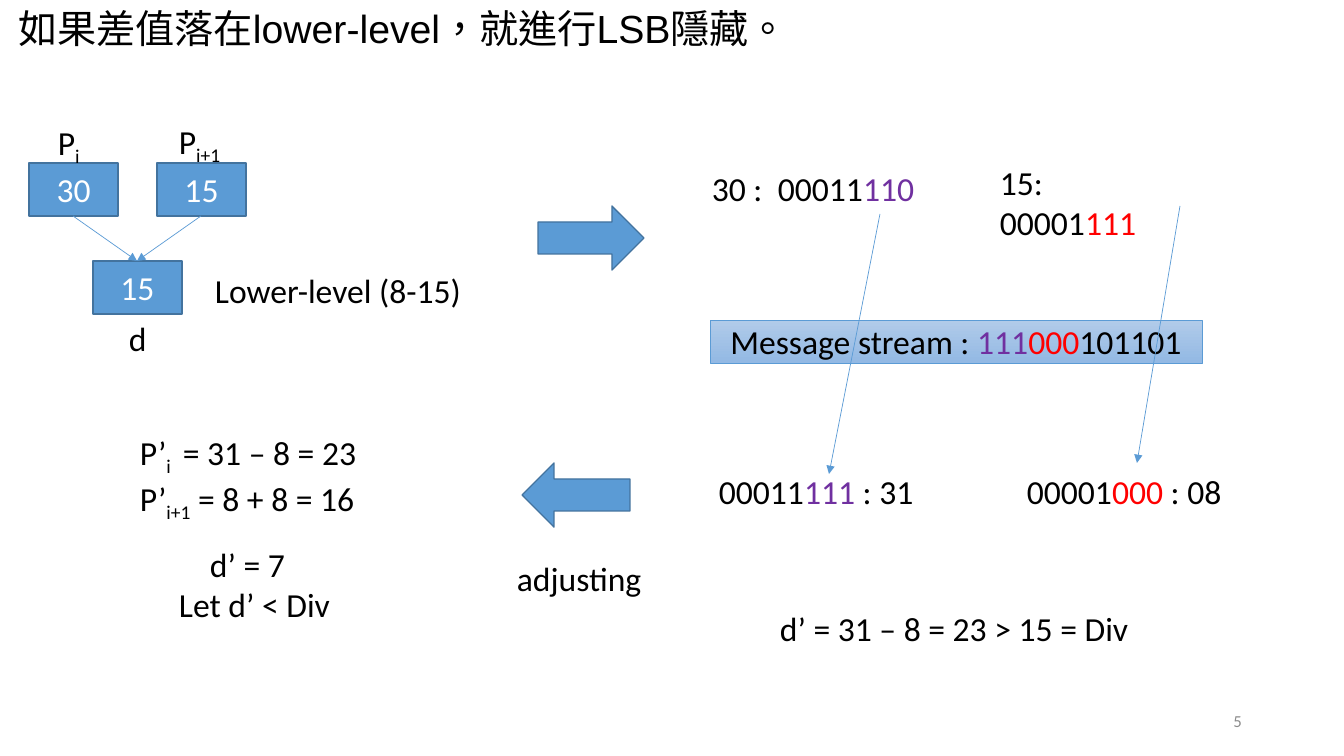
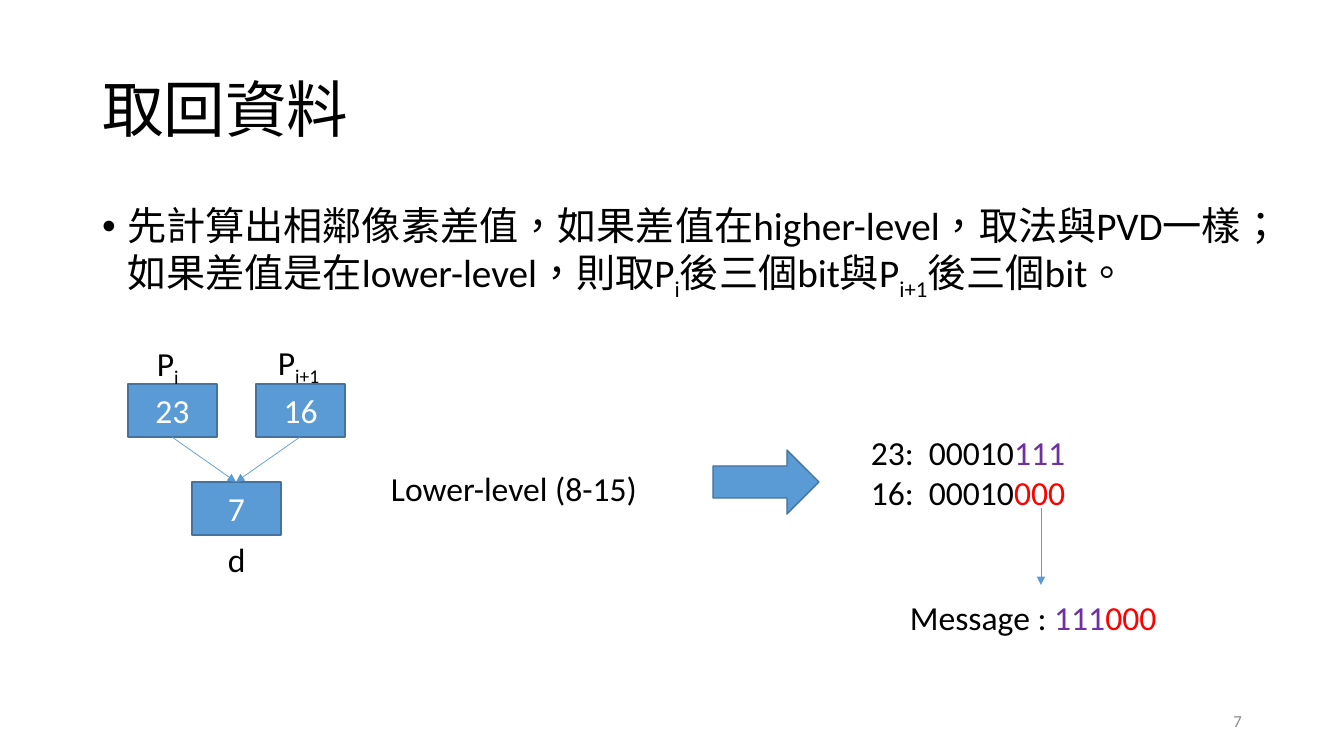
from lxml import etree
from pptx import Presentation
from pptx.dml.color import RGBColor
from pptx.enum.shapes import MSO_CONNECTOR, MSO_SHAPE
from pptx.enum.text import MSO_ANCHOR, MSO_AUTO_SIZE, PP_ALIGN
from pptx.oxml.ns import qn
from pptx.util import Pt

RECT, RIGHT, LEFT = MSO_SHAPE.RECTANGLE, MSO_SHAPE.RIGHT_ARROW, MSO_SHAPE.LEFT_ARROW
TOP, MID = MSO_ANCHOR.TOP, MSO_ANCHOR.MIDDLE
START, CENTER, END = PP_ALIGN.LEFT, PP_ALIGN.CENTER, PP_ALIGN.RIGHT
STRAIGHT, FIXED = MSO_CONNECTOR.STRAIGHT, MSO_AUTO_SIZE.NONE

SCALE = 914400 / 100.8
WIDE, HIGH = 1344, 756
BLUE, EDGE, BLACK, WHITE, GRAY = "5B9BD5", "43739E", "000000", "FFFFFF", "8C8C8C"
PURPLE, RED = "7030A0", "FF0000"
SUB = "sub"
BOX = (89, 53)

P_I = ["P", ("i", SUB)]
P_NEXT = ["P", ("i+1", SUB)]
LEVEL = "Lower-level (8-15)"

HIDE = {
    "title": "如果差值落在lower-level\uff0c就進行LSB隱藏。",
    "page": "5",
    "tree": (29, 163, ("30", "15", "15")),
    "notes": [
        ((205, 265, 291, 50), [[LEVEL]], {}),
        ((702, 163, 357, 50), [["30 :\t00011", ("110", PURPLE)]], {"tab": 66}),
        ((990, 157, 222, 92), [["15:"], ["00001", ("111", RED)]], {}),
        ((709, 466, 260, 50), [["00011", ("111", PURPLE), " : 31"]], {}),
        ((1017, 466, 260, 50), [["00001", ("000", RED), " : 08"]], {}),
        ((770, 603, 373, 50), [["d’ = 31 – 8 = 23 > 15 = Div"]], {}),
        ((507, 553, 146, 50), [["adjusting"]], {}),
        ((130, 427, 270, 92), [["P’", ("i ", SUB), " = 31 – 8 = 23"],
                               ["P’", ("i+1", SUB), " = 8 + 8 = 16"]], {}),
        ((169, 539, 176, 92), [["d’ = 7"], ["Let d’ < Div"]], {"first": 31}),
    ],
    "blocks": [(RIGHT, (538, 206, 106, 64)), (LEFT, (522, 463, 108, 64))],
    "stream": ((710, 320, 492, 43), ["Message stream : ", ("111", PURPLE),
                                     ("000", RED), "101101"]),
    "arrows": [(880, 214, 829, 474), (1180, 206, 1137, 463)],
}

FETCH = {
    "title": "取回資料",
    "body": ["先計算出相鄰像素差值\uff0c如果差值在higher-level\uff0c取法與PVD一樣\uff1b"
             "如果差值是在lower-level\uff0c則取P",
             ("i", SUB), "後三個bit與P", ("i+1", SUB), "後三個bit。"],
    "page": "7",
    "tree": (128, 384, ("23", "16", "7")),
    "notes": [
        ((381, 463, 291, 50), [[LEVEL]], {}),
        ((861, 427, 473, 92), [["23:\t00010", ("111", PURPLE)],
                               ["16:\t00010", ("000", RED)]], {"tab": 58}),
        ((900, 592, 281, 50), [["Message : ", ("111", PURPLE), ("000", RED)]], {}),
    ],
    "blocks": [(RIGHT, (713, 450, 106, 64))],
    "arrows": [(1041, 508, 1041, 585)],
}


def px(n):
    return round(n * SCALE)


def hue(code):
    return RGBColor.from_string(code)


def place(shape, area):
    shape.left, shape.top, shape.width, shape.height = map(px, area)


def write(shape, paras, size=24, color=BLACK, font="Calibri", align=START,
          anchor=TOP, line=None, before=None, tab=None, first=None, hang=None):
    frame = shape.text_frame
    frame.word_wrap = True
    frame.auto_size = FIXED
    frame.vertical_anchor = anchor
    for n, parts in enumerate(paras):
        para = frame.add_paragraph() if n else frame.paragraphs[0]
        para.alignment = align
        if line:
            para.line_spacing = line
        if before:
            para.space_before = Pt(before)
        props = para._p.get_or_add_pPr()
        if first and n == 0:
            props.set("marL", str(px(first)))
        if hang:
            props.set("marL", str(px(hang)))
            props.set("indent", str(-px(hang)))
        if tab:
            stops = etree.SubElement(props, qn("a:tabLst"))
            etree.SubElement(stops, qn("a:tab"), pos=str(px(tab)), algn="l")
        for part in parts:
            words, style = (part, color) if isinstance(part, str) else part
            run = para.add_run()
            run.text = words
            run.font.size = Pt(size)
            run.font.name = font
            run.font.color.rgb = hue(color if style == SUB else style)
            run.font._element.set("lang", "zh-TW")
            if style == SUB:
                run.font._element.set("baseline", "-25000")


def note(slide, area, paras, **form):
    write(slide.shapes.add_textbox(*map(px, area)), paras, **form)


def block(slide, kind, area, edge=EDGE, width=1):
    shape = slide.shapes.add_shape(kind, *map(px, area))
    shape.shadow.inherit = False
    shape.fill.solid()
    shape.fill.fore_color.rgb = hue(BLUE)
    shape.line.color.rgb = hue(edge)
    shape.line.width = Pt(width)
    return shape


def arrow(slide, ends):
    link = slide.shapes.add_connector(STRAIGHT, *map(px, ends))
    link.line.color.rgb = hue(BLUE)
    link.line.width = Pt(0.5)
    etree.SubElement(link.line._get_or_add_ln(), qn("a:tailEnd"), type="triangle")
    etree.SubElement(link._element.spPr, qn("a:effectLst"))


def tree(slide, x, y, values):
    wide, high = BOX
    spots = [(x, y), (x + 128, y), (x + 64, y + 98)]
    for (left, top), value in zip(spots, values):
        shape = block(slide, RECT, (left, top, wide, high))
        write(shape, [[value]], color=WHITE, align=CENTER, anchor=MID)
    goal = spots[2]
    for left, top in spots[:2]:
        arrow(slide, (left + wide // 2, top + high, goal[0] + wide // 2, goal[1]))
    note(slide, (x + 19, y - 46, 90, 50), [P_I])
    note(slide, (x + 140, y - 47, 90, 50), [P_NEXT])
    note(slide, (x + 90, y + 150, 62, 50), [["d"]])


def stream(slide, area, parts):
    bar = block(slide, RECT, area, edge=BLUE, width=0.5)
    bar.fill.gradient()
    bar.fill.gradient_angle = 270
    for stop, code in zip(bar.fill.gradient_stops, ("B1CBE9", "93B9E4")):
        stop.color.rgb = hue(code)
    write(bar, [parts], align=CENTER, anchor=MID)


def build(deck, data, layout, area, **form):
    slide = deck.slides.add_slide(deck.slide_layouts[layout])
    head = slide.shapes.title
    place(head, area)
    write(head, [[data["title"]]], line=0.9, **form)
    if "body" in data:
        body = slide.placeholders[1]
        place(body, (92, 202, 1160, 480))
        write(body, [data["body"]], size=28, line=0.9, before=10, hang=25)
    note(slide, (950, 701, 302, 40), [[data["page"]]],
         size=12, color=GRAY, align=END, anchor=MID)
    tree(slide, *data["tree"])
    for spot, paras, extra in data["notes"]:
        note(slide, spot, paras, **extra)
    for kind, spot in data["blocks"]:
        block(slide, kind, spot)
    if "stream" in data:
        stream(slide, *data["stream"])
    for ends in data["arrows"]:
        arrow(slide, ends)


deck = Presentation()
deck.slide_width, deck.slide_height = px(WIDE), px(HIGH)
build(deck, HIDE, 5, (8, 5, 1160, 64), size=28, font="Arial", before=10)
build(deck, FETCH, 1, (92, 40, 1160, 146), size=44, anchor=MID)
deck.save("out.pptx")
